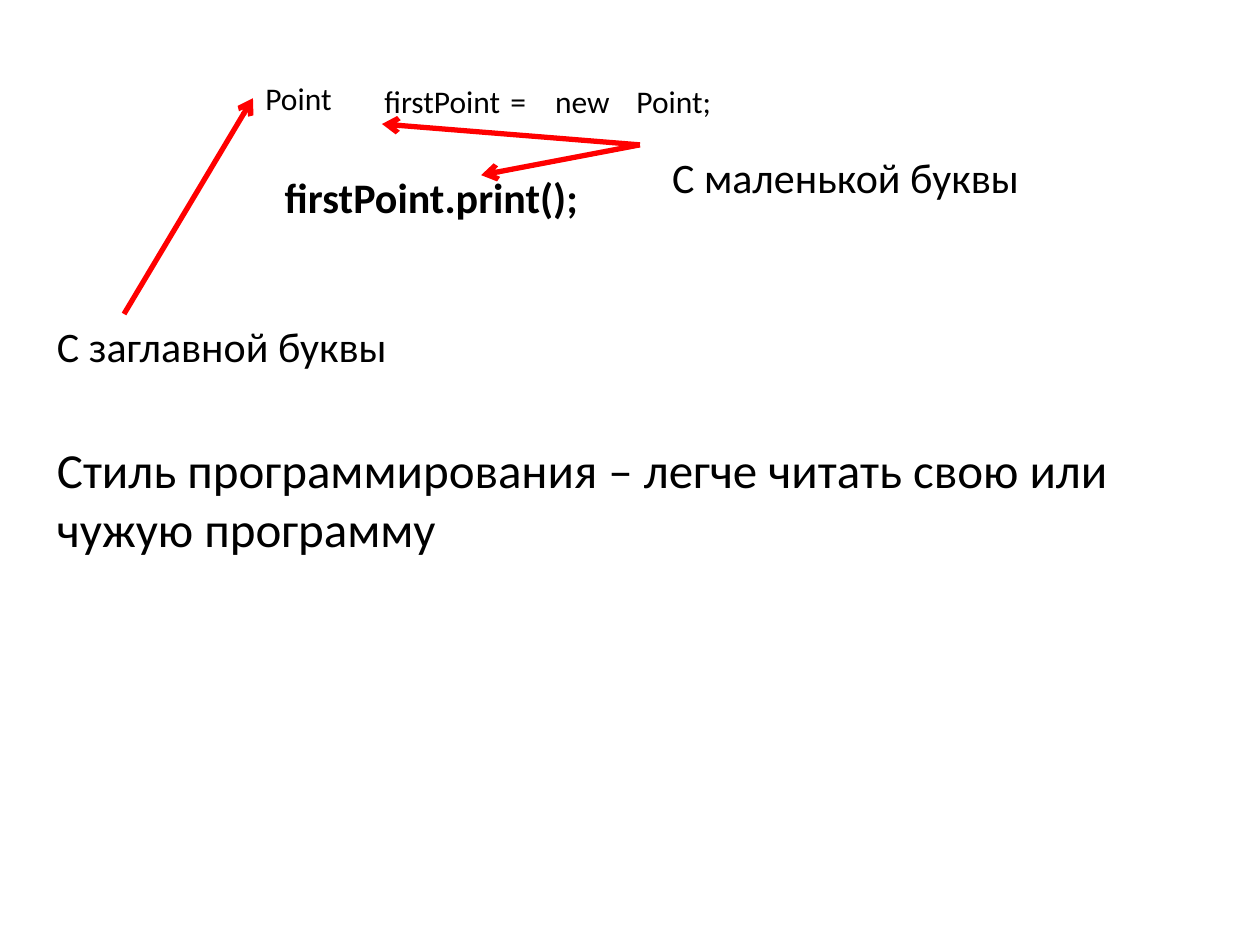
import pptx
import pptx.dml.color
import pptx.enum.shapes
import pptx.enum.text
import pptx.oxml
import pptx.oxml.ns
import pptx.util

Cm = pptx.util.Cm
Pt = pptx.util.Pt


def color(hex_code):
    return pptx.dml.color.RGBColor.from_string(hex_code)


def add_child(parent, tag, **attributes):
    child = pptx.oxml.parse_xml(f"<{tag} {pptx.oxml.ns.nsdecls('a')}/>")
    for name, value in attributes.items():
        child.set(name, str(value))
    parent.append(child)
    return child


class StyleSlide:
    FONT = "Calibri"
    INK = "000000"
    ACCENT = "FF0000"

    def __init__(self, slide):
        self.slide = slide

    def text(self, words, left, top, width, height, size, bold=False, tabs=()):
        """Add a one-run text box; tabs are left stops in centimetres."""
        box = self.slide.shapes.add_textbox(Cm(left), Cm(top), Cm(width), Cm(height))
        frame = box.text_frame
        frame.word_wrap = True
        frame.auto_size = pptx.enum.text.MSO_AUTO_SIZE.SHAPE_TO_FIT_TEXT
        paragraph = frame.paragraphs[0]
        if tabs:
            stops = add_child(paragraph._p.get_or_add_pPr(), "a:tabLst")
            for stop in tabs:
                add_child(stops, "a:tab", pos=int(Cm(stop)), algn="l")
        run = paragraph.add_run()
        run.text = words
        run.font.name = self.FONT
        run.font.size = Pt(size)
        run.font.bold = bold
        run.font.color.rgb = color(self.INK)
        return box

    def arrow(self, start, end, target=None):
        """Draw an arrow, joined to the left side of target if there is one."""
        line = self.slide.shapes.add_connector(
            pptx.enum.shapes.MSO_CONNECTOR.STRAIGHT,
            *(Cm(length) for length in (*start, *end)))
        if target is not None:
            line.end_connect(target, 1)
        line.line.color.rgb = color(self.ACCENT)
        line.line.width = Pt(3)
        add_child(line.line._get_or_add_ln(), "a:tailEnd", type="arrow")
        add_child(line._element.spPr, "a:effectLst")


def main():
    deck = pptx.Presentation()
    deck.slide_width, deck.slide_height = Cm(25.4), Cm(19.05)
    page = StyleSlide(deck.slides.add_slide(deck.slide_layouts[6]))

    page.text("firstPoint\t=\tnew\tPoint;", 7.5, 1.52, 15, 1.02, 18,
              tabs=(2.54, 3.44, 5.08))
    class_name = page.text("Point", 5.1, 1.47, 1.9, 1.02, 18)
    page.text("firstPoint.print();", 5.49, 3.33, 9.07, 1.27, 24, bold=True)

    page.arrow((2.5, 6.33), (5.1, 1.98), class_name)
    lowercase_origin = (12.9, 2.92)
    for lowercase_name in ((7.7, 2.5), (9.7, 3.53)):
        page.arrow(lowercase_origin, lowercase_name)

    margin = 0.9
    page.text("С заглавной буквы", margin, 6.33, 10.75, 1.27, 24)
    page.text("С маленькой буквы", 13.3, 2.92, 9.2, 1.27, 24)
    page.text("Стиль программирования – легче читать свою или чужую программу",
              margin, 8.74, 22.6, 2.64, 28)

    deck.save("out.pptx")


if __name__ == "__main__":
    main()
